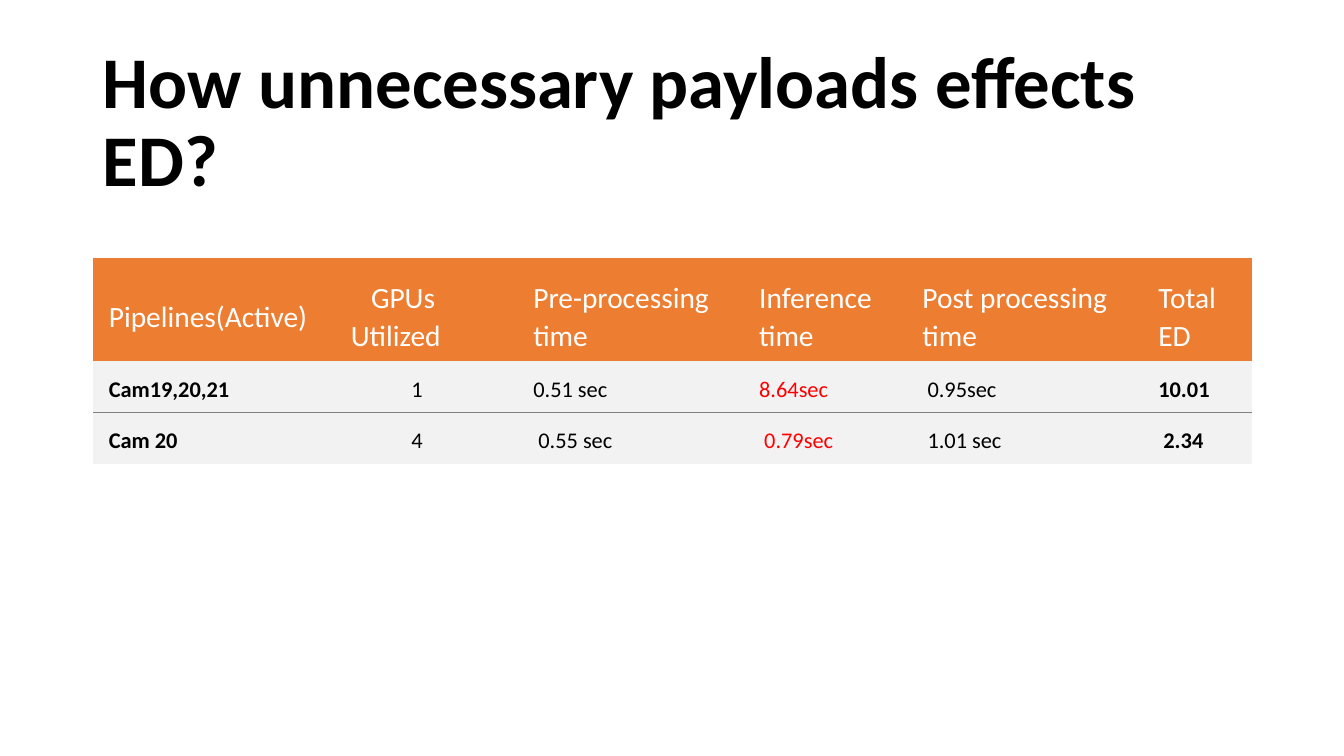
from lxml import etree
from pptx import Presentation
from pptx.dml.color import RGBColor
from pptx.enum.text import MSO_ANCHOR, MSO_AUTO_SIZE, PP_ALIGN
from pptx.oxml.ns import qn
from pptx.util import Pt

PX = 9144
FONT = "Calibri"
LEFT = PP_ALIGN.LEFT
TOP, MIDDLE = MSO_ANCHOR.TOP, MSO_ANCHOR.MIDDLE
NO_AUTOFIT = MSO_AUTO_SIZE.NONE
PLAIN_TABLE = "{2D5ABB26-0587-4C30-8999-92F81FD0307C}"
COLORS = {"black": "000000", "white": "FFFFFF", "red": "FF0000",
          "header": "ED7D31", "body": "F2F2F2", "rule": "808080"}

COL_WIDTHS = [240, 181, 224, 162, 234, 109]
ROW_HEIGHTS = [102, 51, 51]
ROWS = [
    ["Pipelines(Active)", "GPUs Utilized", "Pre-processing time",
     "Inference time", "Post processing time", "Total ED"],
    ["Cam19,20,21", "1", "0.51 sec", "8.64sec", "0.95sec", "10.01"],
    ["Cam 20", "4", "0.55 sec", "0.79sec", "1.01 sec", "2.34"],
]
INDENTS = [
    [0, 20, 0, 0, 0, 0],
    [0, 60, 0, 0, 5, 0],
    [0, 60, 5, 5, 5, 5],
]
BOLD_COLS = (0, 5)
INFERENCE_COL = 3


def rgb(name):
    return RGBColor.from_string(COLORS[name])


def add_run(p, text, size, color, bold):
    r = p.add_run()
    r.text = text
    r.font.name = FONT
    r.font.size = Pt(size)
    r.font.bold = bold
    r.font.color.rgb = rgb(color)


def add_title(s, x, y, w, h):
    sp = s.shapes.title
    sp.left, sp.top, sp.width, sp.height = (v * PX for v in (x, y, w, h))
    tf = sp.text_frame
    tf.word_wrap = True
    tf.auto_size = NO_AUTOFIT
    tf.vertical_anchor = MIDDLE
    p = tf.paragraphs[0]
    p.alignment = LEFT
    p.line_spacing = 0.9
    add_run(p, "How unnecessary payloads effects ED?", 52, "black", True)


def add_rule(cell, side):
    ln = etree.Element(qn(f"a:{side}"), w=str(Pt(0.75)))
    fill = etree.SubElement(ln, qn("a:solidFill"))
    etree.SubElement(fill, qn("a:srgbClr"), val=COLORS["rule"])
    cell._tc.get_or_add_tcPr().insert(0, ln)


def fill_cell(cell, row, col):
    header = row == 0
    cell.fill.solid()
    cell.fill.fore_color.rgb = rgb("header" if header else "body")
    cell.margin_left = cell.margin_right = 16 * PX
    cell.margin_top, cell.margin_bottom = 13 * PX, 0
    cell.vertical_anchor = MIDDLE if header else TOP
    p = cell.text_frame.paragraphs[0]
    p.alignment = LEFT
    p.line_spacing = 1.07
    p._p.get_or_add_pPr().set("indent", str(INDENTS[row][col] * PX))
    if header:
        add_run(p, ROWS[row][col], 21, "white", False)
    else:
        color = "red" if col == INFERENCE_COL else "black"
        add_run(p, ROWS[row][col], 16, color, col in BOLD_COLS)
        add_rule(cell, "lnB" if row == 1 else "lnT")


def add_timing_table(s, x, y, w, h):
    frame = s.shapes.add_table(len(ROWS), len(COL_WIDTHS),
                               x * PX, y * PX, w * PX, h * PX)
    table = frame.table
    table.horz_banding = False
    table._tbl.tblPr.find(qn("a:tableStyleId")).text = PLAIN_TABLE
    for column, width in zip(table.columns, COL_WIDTHS):
        column.width = width * PX
    for i, height in enumerate(ROW_HEIGHTS):
        table.rows[i].height = height * PX
        for j in range(len(COL_WIDTHS)):
            fill_cell(table.cell(i, j), i, j)


def main():
    prs = Presentation()
    prs.slide_width, prs.slide_height = 1333 * PX, 750 * PX
    s = prs.slides.add_slide(prs.slide_layouts[5])
    add_title(s, 92, 61, 1150, 124)
    add_timing_table(s, 92, 256, sum(COL_WIDTHS), sum(ROW_HEIGHTS))
    prs.save("out.pptx")


if __name__ == "__main__":
    main()
